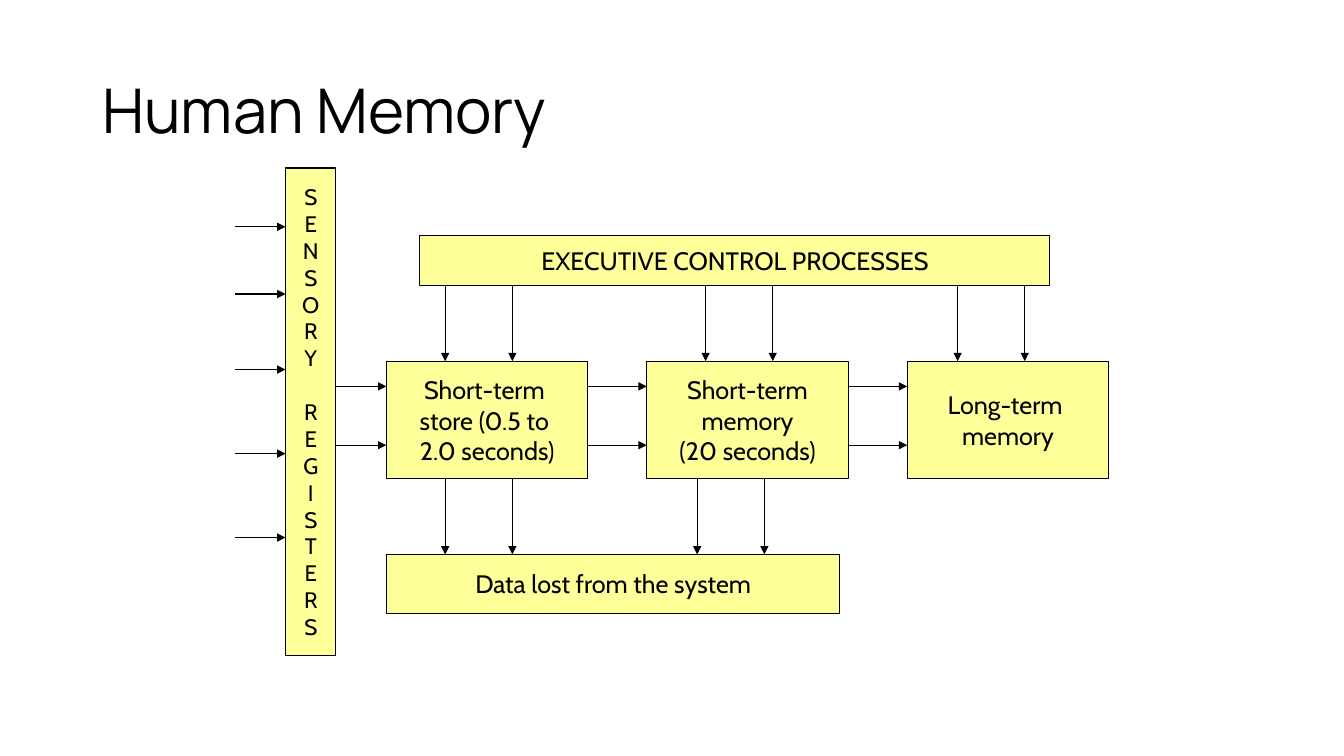
from lxml import etree
from pptx import Presentation
from pptx.dml.color import RGBColor
from pptx.enum.shapes import MSO_CONNECTOR, MSO_SHAPE
from pptx.enum.text import MSO_ANCHOR, PP_ALIGN
from pptx.oxml.ns import qn
from pptx.util import Pt

RECTANGLE = MSO_SHAPE.RECTANGLE
STRAIGHT = MSO_CONNECTOR.STRAIGHT
MIDDLE = MSO_ANCHOR.MIDDLE
LEFT, CENTER = PP_ALIGN.LEFT, PP_ALIGN.CENTER

BLACK, YELLOW = "000000", "FFFF99"


def color(hex_string):
    return RGBColor.from_string(hex_string)


def add_text(text, left, top, width, height, size=18, font="Cabin",
             align=CENTER, fill=None, wrap=False, line_spacing=1.0):
    """Add a filled, outlined box, or a plain text box when fill is None."""
    area = Pt(left), Pt(top), Pt(width), Pt(height)
    if fill:
        box = page.shapes.add_shape(RECTANGLE, *area)
        box.shadow.inherit = False
        box.fill.solid()
        box.fill.fore_color.rgb = color(fill)
        box.line.color.rgb = color(BLACK)
        box.line.width = Pt(0.75)
    else:
        box = page.shapes.add_textbox(*area)
    frame = box.text_frame
    frame.word_wrap = wrap
    frame.vertical_anchor = MIDDLE
    for index, line in enumerate(text.split("\n")):
        para = frame.add_paragraph() if index else frame.paragraphs[0]
        para.alignment = align
        para.line_spacing = line_spacing
        span = para.add_run()
        span.text = line
        span.font.size = Pt(size)
        span.font.name = font
        span.font.color.rgb = color(BLACK)
    return box


deck = Presentation()
deck.slide_width, deck.slide_height = Pt(960), Pt(540)
page = deck.slides.add_slide(deck.slide_layouts[6])

# Title
add_text("Human Memory", 66, 28.75, 828, 104.4, size=44, font="Manrope",
         align=LEFT, wrap=True, line_spacing=0.9)

# Sensory registers: one letter a line, with a line's gap between the words
first_word, second_word = "SENSORY", "REGISTERS"
registers = add_text("\n".join(first_word + second_word), 204, 120, 36, 348,
                     size=16, fill=YELLOW)
registers.text_frame.paragraphs[len(first_word)].space_before = Pt(19.2)

# Control processes and lost data
add_text("EXECUTIVE CONTROL PROCESSES", 300, 168, 450, 36, fill=YELLOW)
add_text("Data lost from the system", 276, 396, 324, 42, fill=YELLOW)

# Memory stores
store_left, store_pitch, store_width = 276, 186, 144
stores = [
    "Short-term \nstore (0.5 to \n2.0 seconds)",
    "Short-term\nmemory\n(20 seconds)",
    "Long-term \nmemory",
]
for index, text in enumerate(stores):
    add_text(text, store_left + index * store_pitch, 258, store_width, 84,
             fill=YELLOW)

# Arrows as (start x, start y, end x, end y)
arrows = [(168, y, 204, y) for y in (162, 210, 264, 324, 384)]
for y in (276, 318):
    arrows.append((240, y, store_left, y))
    for index in range(2):
        start = store_left + index * store_pitch + store_width
        arrows.append((start, y, store_left + (index + 1) * store_pitch, y))
for offset in (0, 48):
    for x in (318, 504, 684):
        arrows.append((x + offset, 204, x + offset, 258))
    for x in (318, 498):
        arrows.append((x + offset, 342, x + offset, 396))

for arrow in arrows:
    connector = page.shapes.add_connector(STRAIGHT, *map(Pt, arrow))
    connector.line.color.rgb = color(BLACK)
    connector.line.width = Pt(0.75)
    etree.SubElement(connector.line._get_or_add_ln(), qn("a:tailEnd"),
                     type="triangle")
    etree.SubElement(connector._element.spPr, qn("a:effectLst"))

deck.save("out.pptx")
